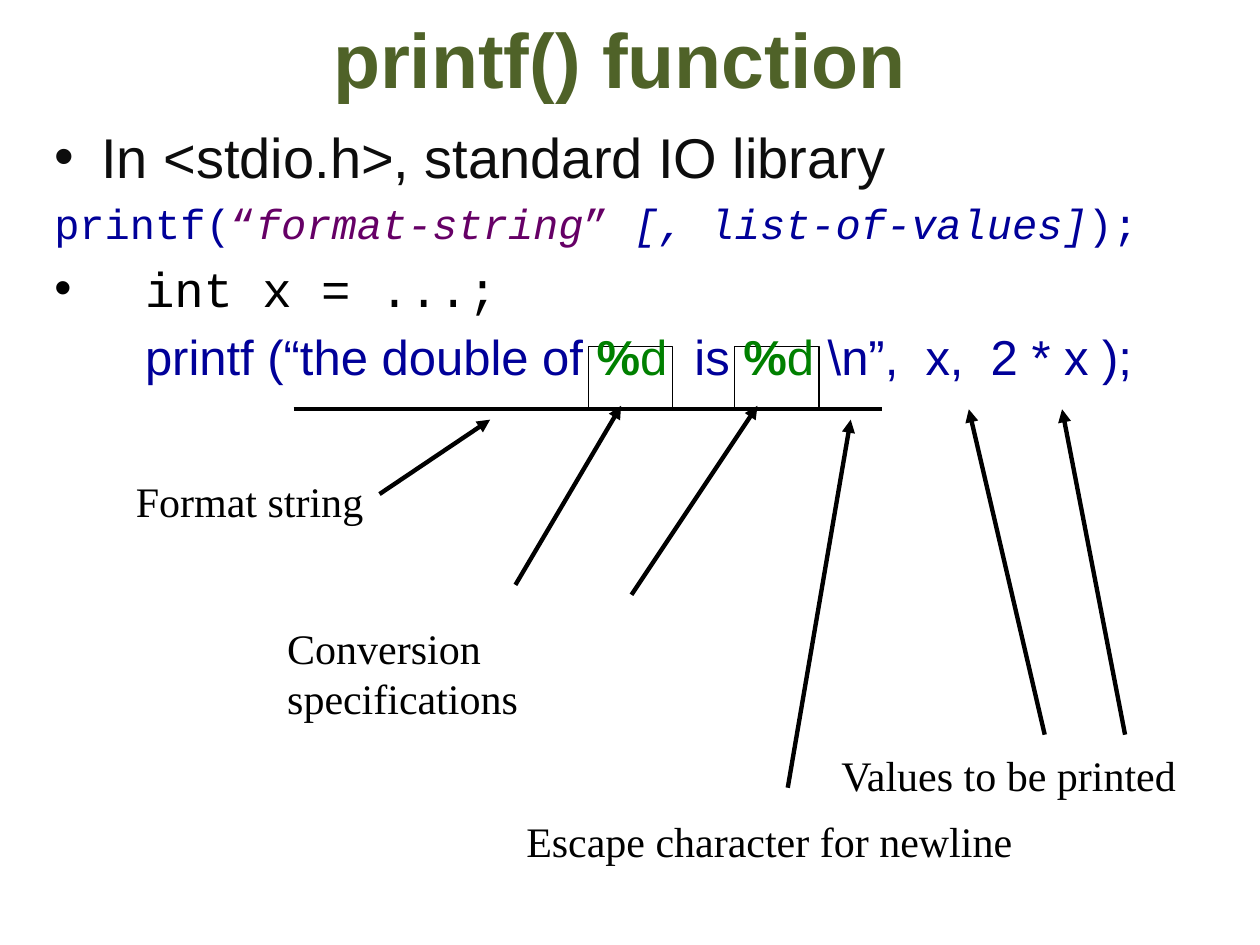
from lxml import etree
from pptx import Presentation
from pptx.dml.color import RGBColor
from pptx.enum.shapes import MSO_CONNECTOR, MSO_SHAPE
from pptx.enum.text import MSO_ANCHOR, MSO_AUTO_SIZE, PP_ALIGN
from pptx.oxml.ns import qn
from pptx.util import Cm, Pt

RECT = MSO_SHAPE.RECTANGLE
STRAIGHT = MSO_CONNECTOR.STRAIGHT
MIDDLE = MSO_ANCHOR.MIDDLE
NO_FIT = MSO_AUTO_SIZE.NONE
CENTER = PP_ALIGN.CENTER

BLACK = RGBColor(0x00, 0x00, 0x00)
WHITE = RGBColor(0xFF, 0xFF, 0xFF)
CHARCOAL = RGBColor(0x0D, 0x0D, 0x0D)
OLIVE = RGBColor(0x4F, 0x62, 0x28)
BLUE = RGBColor(0x00, 0x00, 0x99)
PURPLE = RGBColor(0x66, 0x00, 0x66)
GREEN = RGBColor(0x00, 0x80, 0x00)

SANS, MONO, SERIF = "Arial", "Courier New", "Times New Roman"
AXIS_Y = 8.25

SYNTAX = [
    ("printf(", BLUE, False, False),
    ("“", PURPLE, False, False),
    ("format-string", PURPLE, False, True),
    ("” ", PURPLE, False, False),
    ("[, list-of-values]", BLUE, False, True),
    (");", BLUE, False, False),
]
CALL = [
    ("printf (“the double of ", BLUE, False, False),
    ("%", GREEN, True, False),
    ("d  ", GREEN, False, False),
    ("is ", BLUE, False, False),
    ("%", GREEN, True, False),
    ("d", GREEN, False, False),
    (" \\n”,  x,  2 * x );", BLUE, False, False),
]
LINES = [
    ([("In <stdio.h>, standard IO library", CHARCOAL, False, False)],
     SANS, 32, 0, 0.95, -0.95, True),
    (SYNTAX, MONO, 24, 0, 0.95, -0.95, False),
    ([("int x = ...;", BLACK, False, False)], MONO, 28, 0, 1.83, -1.83, True),
    (CALL, SANS, 28, 1, 1.83, 0, False),
]
LABELS = [
    ("Conversion\vspecifications", 5.54, 12.42, 9.25),
    ("Values to be printed", 16.71, 14.99, 7.37),
    ("Format string", 2.49, 9.47, 5.36),
    ("Escape character for newline", 10.36, 16.31, 10.41),
]
ARROWS = [
    (10.39, 11.79, 12.52, 8.18),
    (12.73, 11.99, 15.27, 8.18),
    (21.06, 14.81, 19.53, AXIS_Y),
    (22.68, 14.81, 21.41, AXIS_Y),
    (7.65, 9.96, 9.88, 8.46),
    (15.88, 15.88, 17.15, 8.46),
]


def place(sp, left, top, width, height):
    sp.left, sp.top = Cm(left), Cm(top)
    sp.width, sp.height = Cm(width), Cm(height)


def format_run(r, font, size, color, bold=False, italic=False):
    r.font.name = font
    r.font.size = Pt(size)
    r.font.color.rgb = color
    r.font.bold = bold
    r.font.italic = italic


def set_indent(p, margin, indent, bullet):
    pPr = p._p.get_or_add_pPr()
    pPr.set("marL", str(Cm(margin)))
    pPr.set("indent", str(Cm(indent)))
    if bullet:
        etree.SubElement(pPr, qn("a:buChar")).set("char", "•")
    else:
        etree.SubElement(pPr, qn("a:buNone"))


def add_title(s):
    sp = s.shapes.title
    place(sp, 1.7, 0, 21.59, 2.34)
    tf = sp.text_frame
    tf.text = "printf() function"
    tf.auto_size = NO_FIT
    tf.vertical_anchor = MIDDLE
    p = tf.paragraphs[0]
    p.alignment = CENTER
    format_run(p.runs[0], SANS, 44, OLIVE, True)


def add_body(s):
    sp = s.placeholders[1]
    place(sp, 0.84, 2.34, 24.13, 15.67)
    tf = sp.text_frame
    tf.text = "\n".join("" for _ in LINES)
    tf.auto_size = NO_FIT
    for p, (parts, font, size, level, margin, indent, bullet) in zip(tf.paragraphs, LINES):
        p.level = level
        set_indent(p, margin, indent, bullet)
        for text, color, bold, italic in parts:
            r = p.add_run()
            r.text = text
            format_run(r, font, size, color, bold, italic)


def add_frame(s, left):
    sp = s.shapes.add_shape(RECT, Cm(left), Cm(6.99), Cm(1.7), Cm(1.27))
    sp.shadow.inherit = False
    sp.fill.solid()
    sp.fill.fore_color.rgb = WHITE
    sp.line.color.rgb = BLACK
    sp.line.width = Pt(0.75)
    s.shapes._spTree.insert(2, sp._element)


def add_label(s, text, left, top, width):
    sp = s.shapes.add_textbox(Cm(left), Cm(top), Cm(width), Cm(1.27))
    tf = sp.text_frame
    tf.word_wrap = True
    tf.text = text
    for r in tf.paragraphs[0].runs:
        format_run(r, SERIF, 24, BLACK)


def add_line(s, x1, y1, x2, y2, width, arrow=False):
    line = s.shapes.add_connector(STRAIGHT, Cm(x1), Cm(y1), Cm(x2), Cm(y2))
    line.line.color.rgb = BLACK
    line.line.width = Pt(width)
    if arrow:
        etree.SubElement(line.line._get_or_add_ln(), qn("a:tailEnd")).set("type", "triangle")
    etree.SubElement(line._element.spPr, qn("a:effectLst"))


def main():
    prs = Presentation()
    prs.slide_width, prs.slide_height = Cm(25.4), Cm(19.05)
    s = prs.slides.add_slide(prs.slide_layouts[1])
    add_title(s)
    add_body(s)
    for left in (11.86, 14.81):
        add_frame(s, left)
    for label in LABELS:
        add_label(s, *label)
    add_line(s, 5.92, AXIS_Y, 17.78, AXIS_Y, 2.25)
    for arrow in ARROWS:
        add_line(s, *arrow, 2.5, True)
    prs.save("out.pptx")


main()
